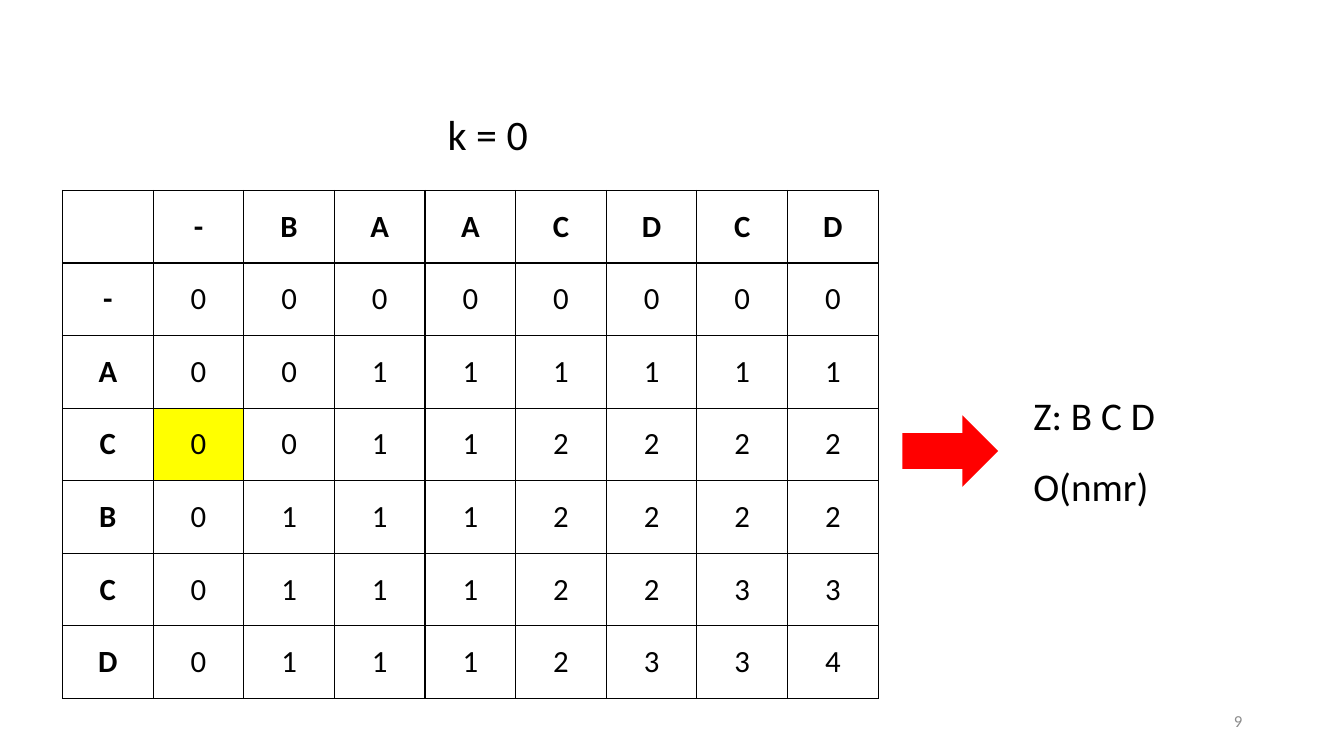
import pptx
import pptx.util
from pptx.dml.color import RGBColor
from pptx.enum.shapes import MSO_SHAPE
from pptx.enum.text import MSO_ANCHOR, MSO_AUTO_SIZE, PP_ALIGN
from pptx.oxml import parse_xml
from pptx.oxml.ns import nsdecls
from pptx.util import Inches

BLACK = RGBColor(0x00, 0x00, 0x00)
WHITE = RGBColor(0xFF, 0xFF, 0xFF)
YELLOW = RGBColor(0xFF, 0xFF, 0x00)
RED = RGBColor(0xFF, 0x00, 0x00)
GREY = RGBColor(0x8C, 0x8C, 0x8C)

COLUMN_SEQUENCE = "-BAACDCD"
LENGTHS_BY_ROW = [
    ("-", "00000000"),
    ("A", "00111111"),
    ("C", "00112222"),
    ("B", "01112222"),
    ("C", "01112233"),
    ("D", "01112334"),
]
CURRENT_CELL = (3, 1)


class SlideBuilder:
    font_name = "Calibri"
    border_width = pptx.util.Pt(1)

    def __init__(self, slide):
        self.slide = slide

    def set_text(self, frame, text, size, color=BLACK, bold=False, align=PP_ALIGN.LEFT):
        paragraph = frame.paragraphs[0]
        paragraph.text = text
        paragraph.alignment = align
        font_format = {"name": self.font_name, "size": pptx.util.Pt(size), "bold": bold}
        for attribute, value in font_format.items():
            setattr(paragraph.font, attribute, value)
        paragraph.font.color.rgb = color

    def title(self, text, left, top, width, height, size):
        heading = self.slide.shapes.title
        place = {"left": left, "top": top, "width": width, "height": height}
        for attribute, value in place.items():
            setattr(heading, attribute, Inches(value))
        heading.text_frame.auto_size = MSO_AUTO_SIZE.NONE
        heading.text_frame.vertical_anchor = MSO_ANCHOR.TOP
        self.set_text(heading.text_frame, text, size)

    def label(self, text, left, top, width, height, size, anchor=MSO_ANCHOR.TOP, **style):
        frame = self.slide.shapes.add_textbox(
            Inches(left), Inches(top), Inches(width), Inches(height)).text_frame
        frame.word_wrap = True
        frame.vertical_anchor = anchor
        self.set_text(frame, text, size, **style)

    def right_arrow(self, left, top, width, height, color):
        arrow = self.slide.shapes.add_shape(
            MSO_SHAPE.RIGHT_ARROW, Inches(left), Inches(top), Inches(width), Inches(height))
        arrow.shadow.inherit = False
        arrow.fill.solid()
        arrow.fill.fore_color.rgb = color
        arrow.line.fill.background()

    def border(self, cell):
        properties = cell._tc.get_or_add_tcPr()
        for position, side in enumerate(("lnL", "lnR", "lnT", "lnB")):
            properties.insert(position, parse_xml(
                f'<a:{side} {nsdecls("a")} w="{self.border_width}"><a:solidFill>'
                f'<a:srgbClr val="{BLACK}"/></a:solidFill></a:{side}>'))

    def length_table(self, rows, highlighted, left, top, width, height, size):
        """Draw a bordered grid whose first row and column are bold headings."""
        table = self.slide.shapes.add_table(
            len(rows), len(rows[0]),
            Inches(left), Inches(top), Inches(width), Inches(height)).table
        table.first_row = table.horz_banding = False
        for row, values in enumerate(rows):
            for column, value in enumerate(values):
                cell = table.cell(row, column)
                cell.vertical_anchor = MSO_ANCHOR.MIDDLE
                cell.fill.solid()
                cell.fill.fore_color.rgb = YELLOW if (row, column) == highlighted else WHITE
                self.border(cell)
                self.set_text(cell.text_frame, value, size,
                              bold=row == 0 or column == 0, align=PP_ALIGN.CENTER)


def main():
    presentation = pptx.Presentation()
    presentation.slide_width = Inches(13.33)
    presentation.slide_height = Inches(7.5)
    title_only = presentation.slide_layouts[5]
    builder = SlideBuilder(presentation.slides.add_slide(title_only))

    rows = [["", *COLUMN_SEQUENCE]]
    rows += [[letter, *lengths] for letter, lengths in LENGTHS_BY_ROW]
    builder.length_table(rows, CURRENT_CELL, 0.62, 1.89, 8.09, 5.04, size=22)
    builder.title("k = 0", 4.34, 1.03, 1.4, 0.61, size=30)
    for result, top in (("Z: B C D", 3.83), ("O(nmr)", 4.54)):
        builder.label(result, 10.15, top, 1.6, 0.57, size=28)
    builder.right_arrow(8.95, 4.12, 0.95, 0.71, RED)
    builder.label("9", 9.42, 6.95, 3, 0.4, size=12, anchor=MSO_ANCHOR.MIDDLE,
                  color=GREY, align=PP_ALIGN.RIGHT)
    presentation.save("out.pptx")


if __name__ == "__main__":
    main()
